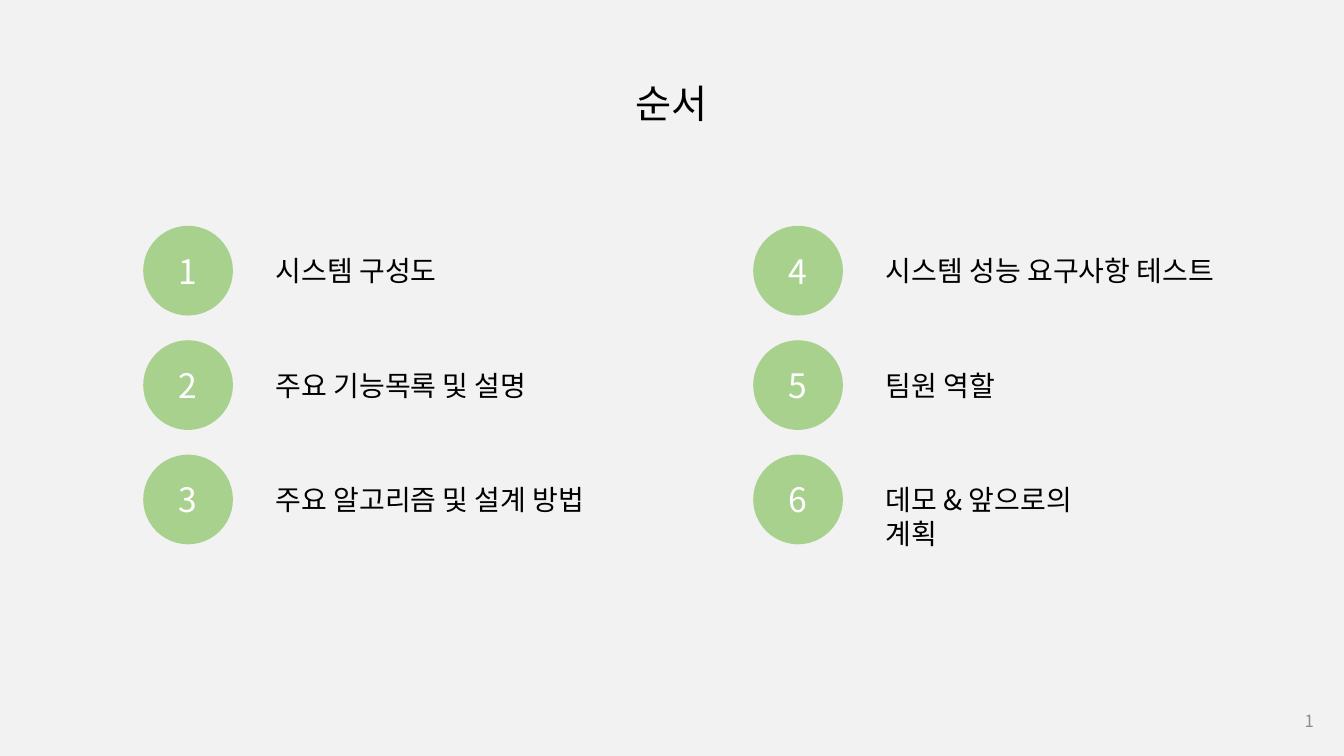
from pptx import Presentation
from pptx.dml.color import RGBColor
from pptx.enum.shapes import MSO_SHAPE as Shape
from pptx.enum.text import MSO_ANCHOR as Anchor, MSO_AUTO_SIZE as AutoSize, PP_ALIGN as Align
from pptx.util import Inches, Pt

BACKGROUND = RGBColor(0xF2, 0xF2, 0xF2)
GREEN = RGBColor(0xA9, 0xD1, 0x8E)
BLACK = RGBColor(0x00, 0x00, 0x00)
WHITE = RGBColor(0xFF, 0xFF, 0xFF)
GRAY = RGBColor(0x8C, 0x8C, 0x8C)

# Each agenda column: left edge and its (label, label width, wraps) entries
COLUMNS = [
    (1.42, [("시스템 구성도", 1.86, False),
            ("주요 기능목록 및 설명", 2.81, False),
            ("주요 알고리즘 및 설계 방법", 3.41, False)]),
    (7.47, [("시스템 성능 요구사항 테스트", 3.59, False),
            ("팀원 역할", 1.33, False),
            ("데모 & 앞으로의 계획", 2.4, True)]),
]
FIRST_ROW, ROW_STEP = 2.24, 1.135
CIRCLE_SIZE = 0.89
LABEL_OFFSET_X, LABEL_OFFSET_Y, LABEL_HEIGHT = 1.215, 0.23, 0.44


class AgendaSlide:
    font_name = "Noto Sans CJK KR"

    def __init__(self, presentation):
        self.slide = presentation.slides.add_slide(presentation.slide_layouts[6])
        fill = self.slide.background.fill
        fill.solid()
        fill.fore_color.rgb = BACKGROUND

    def set_text(self, shape, text, size, color, align, anchor):
        frame = shape.text_frame
        frame.vertical_anchor = anchor
        paragraph = frame.paragraphs[0]
        paragraph.text = text
        paragraph.alignment = align
        paragraph.font.name = self.font_name
        paragraph.font.size = Pt(size)
        paragraph.font.color.rgb = color

    def text(self, shapes, box, text, size, color=BLACK, align=Align.LEFT,
             anchor=Anchor.TOP, wrap=False):
        shape = shapes.add_textbox(*map(Inches, box))
        shape.text_frame.word_wrap = wrap
        shape.text_frame.auto_size = AutoSize.NONE if wrap else AutoSize.SHAPE_TO_FIT_TEXT
        self.set_text(shape, text, size, color, align, anchor)

    def circle(self, shapes, left, top, number):
        shape = shapes.add_shape(Shape.OVAL, *map(Inches, (left, top, CIRCLE_SIZE, CIRCLE_SIZE)))
        shape.shadow.inherit = False
        shape.fill.solid()
        shape.fill.fore_color.rgb = GREEN
        shape.line.fill.background()
        self.set_text(shape, str(number), 24, WHITE, Align.CENTER, Anchor.MIDDLE)

    def item(self, left, top, number, label, width, wrap):
        shapes = self.slide.shapes.add_group_shape().shapes
        self.circle(shapes, left, top, number)
        box = (left + LABEL_OFFSET_X, top + LABEL_OFFSET_Y, width, LABEL_HEIGHT)
        self.text(shapes, box, label, 20, wrap=wrap)


def main():
    presentation = Presentation()
    presentation.slide_width = Inches(13.33)
    presentation.slide_height = Inches(7.5)
    agenda = AgendaSlide(presentation)
    shapes = agenda.slide.shapes

    # Title
    agenda.text(shapes, (6.2, 0.74, 0.94, 0.57), "순서", 28)

    # Numbered agenda items
    number = 1
    for left, entries in COLUMNS:
        for row, (label, width, wrap) in enumerate(entries):
            agenda.item(left, FIRST_ROW + row * ROW_STEP, number, label, width, wrap)
            number += 1

    # Page number
    agenda.text(shapes, (12.66, 6.95, 0.47, 0.4), "1", 12, GRAY, Align.RIGHT,
                Anchor.MIDDLE, wrap=True)

    presentation.save("out.pptx")


if __name__ == "__main__":
    main()
